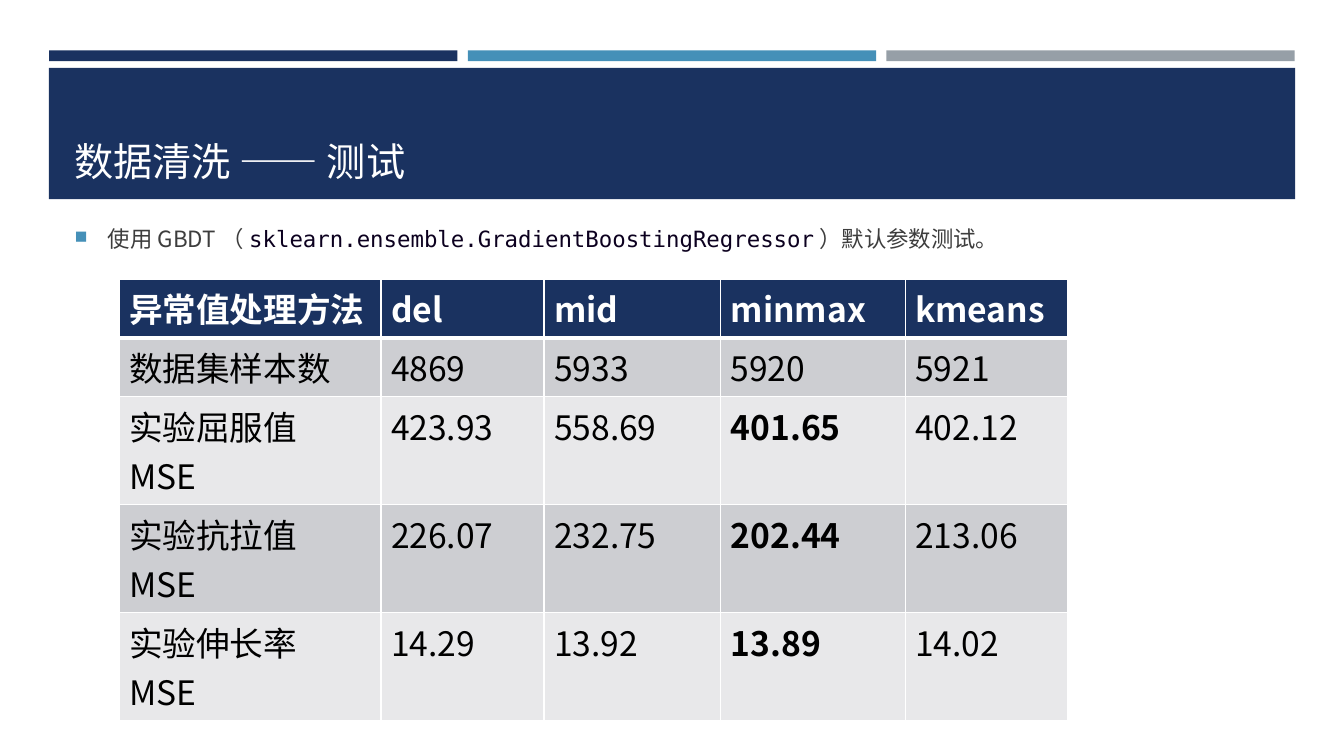
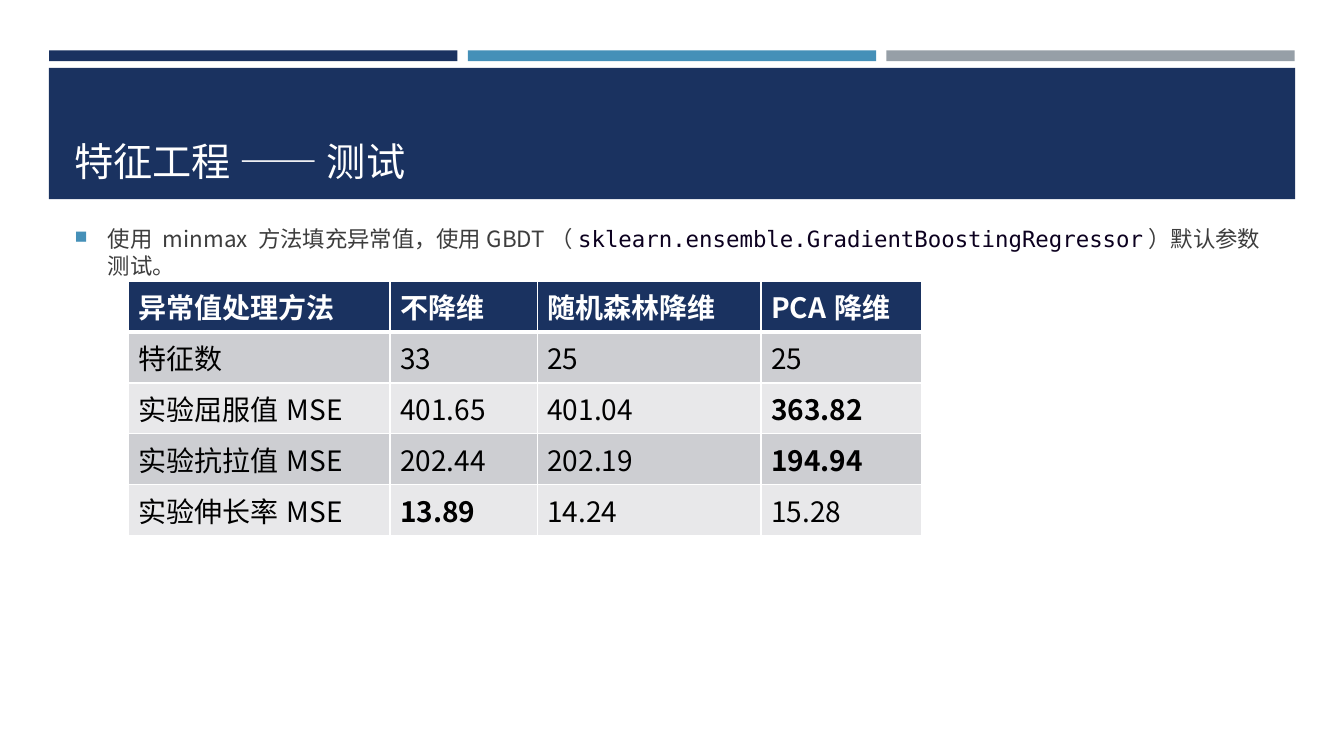
from lxml import etree
from pptx import Presentation
from pptx.dml.color import RGBColor
from pptx.enum.shapes import MSO_SHAPE
from pptx.enum.text import MSO_ANCHOR
from pptx.oxml.ns import qn
from pptx.util import Cm, Pt

RECTANGLE = MSO_SHAPE.RECTANGLE
ANCHOR_TOP = MSO_ANCHOR.TOP
ANCHOR_BOTTOM = MSO_ANCHOR.BOTTOM

NAVY = RGBColor(0x1A, 0x32, 0x60)
BLUE = RGBColor(0x45, 0x90, 0xB8)
GRAY = RGBColor(0x96, 0x9F, 0xA7)
WHITE = RGBColor(0xFF, 0xFF, 0xFF)
BLACK = RGBColor(0x00, 0x00, 0x00)
BODY_GRAY = RGBColor(0x3D, 0x3D, 0x3D)
CODE_INK = RGBColor(0x0C, 0x00, 0x1F)
ROW_DARK = RGBColor(0xCD, 0xCE, 0xD2)
ROW_LIGHT = RGBColor(0xE8, 0xE8, 0xEA)

TEXT_FONT = "Noto Sans CJK SC"
CODE_FONT = "DejaVu Sans Mono"

BAND_LEFT = 1.24
BAND_WIDTH = 10.29
BAND_STEP = 10.55
TEXT_LEFT = 1.63
TEXT_WIDTH = 30.63

REGRESSOR = "sklearn.ensemble.GradientBoostingRegressor"
DEFAULT_TEST = "）默认参数测试。"

CLEANING_WIDTHS = [6.6, 4.11, 4.45, 4.65, 4.09]
CLEANING_HEIGHTS = [1.48] * 2 + [2.72] * 3
CLEANING_ROWS = [
    ["异常值处理方法", "del", "mid", "minmax", "kmeans"],
    ["数据集样本数", "4869", "5933", "5920", "5921"],
    ["实验屈服值MSE", "423.93", "558.69", "401.65", "402.12"],
    ["实验抗拉值MSE", "226.07", "232.75", "202.44", "213.06"],
    ["实验伸长率MSE", "14.29", "13.92", "13.89", "14.02"],
]
FEATURE_WIDTHS = [6.6, 3.71, 5.64, 4.04]
FEATURE_HEIGHTS = [1.28] * 5
FEATURE_ROWS = [
    ["异常值处理方法", "不降维", "随机森林降维", "PCA降维"],
    ["特征数", "33", "25", "25"],
    ["实验屈服值MSE", "401.65", "401.04", "363.82"],
    ["实验抗拉值MSE", "202.44", "202.19", "194.94"],
    ["实验伸长率MSE", "13.89", "14.24", "15.28"],
]


def add_child(parent, tag, **attributes):
    return etree.SubElement(parent, qn(tag), attributes)


def style_span(span, size, color, font=TEXT_FONT, bold=False):
    span.font.size = Pt(size)
    span.font.color.rgb = color
    span.font.bold = bold
    span.font.name = font
    add_child(span.font._element, "a:ea", typeface=font)


def add_rectangle(page, left, top, width, height, color):
    shape = page.shapes.add_shape(RECTANGLE, Cm(left), Cm(top), Cm(width), Cm(height))
    shape.shadow.inherit = False
    shape.fill.solid()
    shape.fill.fore_color.rgb = color
    shape.line.fill.background()


def add_text_box(page, top, height, anchor):
    box = page.shapes.add_textbox(Cm(TEXT_LEFT), Cm(top), Cm(TEXT_WIDTH), Cm(height))
    box.text_frame.word_wrap = True
    box.text_frame.vertical_anchor = anchor
    return box.text_frame.paragraphs[0]


def add_header(page, title):
    for index, color in enumerate([NAVY, BLUE, GRAY]):
        add_rectangle(page, BAND_LEFT + index * BAND_STEP, 1.27, BAND_WIDTH, 0.27, color)
    add_rectangle(page, 1.23, 1.71, 31.41, 3.31, NAVY)
    para = add_text_box(page, 1.96, 2.82, ANCHOR_BOTTOM)
    para.text = title
    style_span(para.runs[0], 28, WHITE)


def add_bullet(para):
    properties = para._p.get_or_add_pPr()
    properties.set("marL", str(Cm(0.84)))
    properties.set("indent", str(Cm(-0.84)))
    color = add_child(properties, "a:buClr")
    add_child(color, "a:srgbClr", val=str(BLUE))
    add_child(properties, "a:buSzPct", val="78000")
    add_child(properties, "a:buChar", char="■")


def add_method_note(page, opening):
    para = add_text_box(page, 5.56, 10.21, ANCHOR_TOP)
    para.line_spacing = 1.0
    para.space_before = Pt(3)
    para.space_after = Pt(6)
    add_bullet(para)
    for text, color, font in [
        (opening, BODY_GRAY, TEXT_FONT),
        (REGRESSOR, CODE_INK, CODE_FONT),
        (DEFAULT_TEST, BODY_GRAY, TEXT_FONT),
    ]:
        span = para.add_run()
        span.text = text
        style_span(span, 16, color, font)


def set_borders(cell, top, bottom):
    properties = cell._tc.get_or_add_tcPr()
    for side, width in [("L", 1), ("R", 1), ("T", top), ("B", bottom)]:
        line = add_child(properties, f"a:ln{side}", w=str(Pt(width)))
        fill = add_child(line, "a:solidFill")
        add_child(fill, "a:srgbClr", val=str(WHITE))


def fill_cell(cell, text, row_index, size, best):
    is_header = row_index == 0
    set_borders(cell, 3 if row_index == 1 else 1, 3 if is_header else 1)
    cell.fill.solid()
    if is_header:
        cell.fill.fore_color.rgb = NAVY
    else:
        cell.fill.fore_color.rgb = ROW_DARK if row_index % 2 else ROW_LIGHT
    cell.text_frame.text = text
    span = cell.text_frame.paragraphs[0].runs[0]
    style_span(span, size, WHITE if is_header else BLACK, bold=is_header or best)


def add_result_table(page, left, top, widths, heights, rows, size):
    frame = page.shapes.add_table(
        len(rows), len(widths), Cm(left), Cm(top), Cm(sum(widths)), Cm(sum(heights))
    )
    table = frame.table
    for column, width in zip(table.columns, widths):
        column.width = Cm(width)
    for row_index, (values, height) in enumerate(zip(rows, heights)):
        table.rows[row_index].height = Cm(height)
        lowest = min(values[1:], key=float) if values[0].endswith("MSE") else None
        for column_index, text in enumerate(values):
            cell = table.cell(row_index, column_index)
            fill_cell(cell, text, row_index, size, text == lowest)


def add_page(deck, title, opening):
    page = deck.slides.add_slide(deck.slide_layouts[6])
    add_header(page, title)
    add_method_note(page, opening)
    return page


def main():
    deck = Presentation()
    deck.slide_width = Cm(33.87)
    deck.slide_height = Cm(19.05)

    page = add_page(deck, "数据清洗 —— 测试", "使用GBDT（")
    add_result_table(page, 3, 7.03, CLEANING_WIDTHS, CLEANING_HEIGHTS, CLEANING_ROWS, 24)

    page = add_page(deck, "特征工程 —— 测试", "使用 minmax 方法填充异常值，使用GBDT（")
    add_result_table(page, 3.23, 7.09, FEATURE_WIDTHS, FEATURE_HEIGHTS, FEATURE_ROWS, 20)

    deck.save("out.pptx")


if __name__ == "__main__":
    main()
